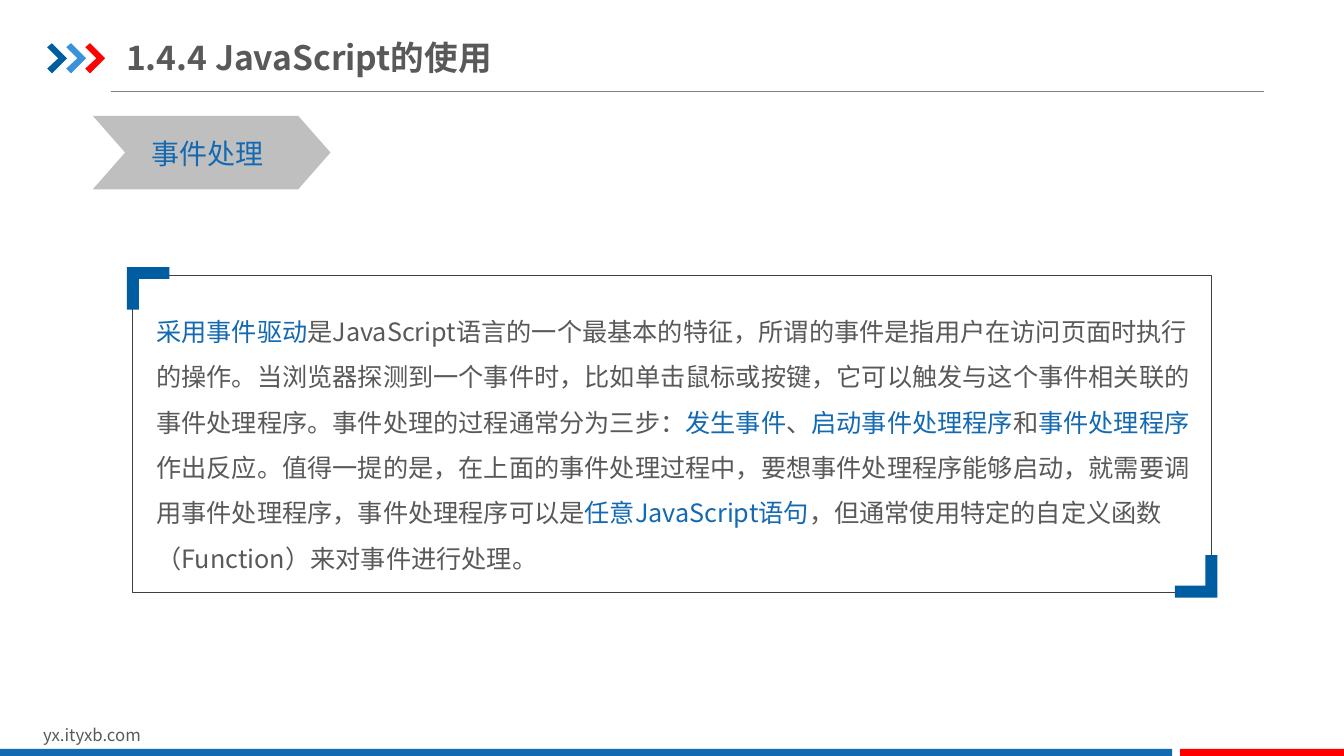
from lxml.etree import SubElement
from pptx import Presentation
from pptx.dml.color import RGBColor
from pptx.enum.shapes import MSO_CONNECTOR, MSO_SHAPE
from pptx.enum.text import MSO_ANCHOR
from pptx.oxml.ns import qn
from pptx.util import Cm, Pt

FONT = "Noto Sans CJK SC"
COLORS = {
    "navy": "005DA2", "sky": "3992DB", "red": "FF0000", "blue": "1369B2",
    "text": "595959", "banner": "BFBFBF", "rule": "808080", "frame": "404040",
}
TITLE = [("1.4.4 JavaScript的使用", "text")]
TOPIC = [("事件处理", "blue")]
SITE = [("yx.ityxb.com", "text")]
BODY = [
    ("采用事件驱动", "blue"),
    ("是JavaScript语言的一个最基本的特征，所谓的事件是指用户在访问页面时执行的操作。"
     "当浏览器探测到一个事件时，比如单击鼠标或按键，它可以触发与这个事件相关联的事件处理程序。"
     "事件处理的过程通常分为三步：", "text"),
    ("发生事件", "blue"),
    ("、", "text"),
    ("启动事件处理程序", "blue"),
    ("和", "text"),
    ("事件处理程序", "blue"),
    ("作出反应。值得一提的是，在上面的事件处理过程中，要想事件处理程序能够启动，"
     "就需要调用事件处理程序，事件处理程序可以是", "text"),
    ("任意JavaScript语句", "blue"),
    ("，但通常使用特定的自定义函数（Function）来对事件进行处理。", "text"),
]
ARROW_COLORS = ["navy", "sky", "red"]
ARROW_OUTLINE = [(0, 0.1), (0.12, 0), (0.5, 0.38), (0.12, 0.76), (0, 0.64), (0.28, 0.38)]
ARROW_LEFT, ARROW_TOP, ARROW_PITCH = 1.19, 1.09, 0.48
CORNER_SIZE, CORNER_WIDTH = 1.07, 0.3
CORNER_OUTLINE = [
    (0, 0), (CORNER_SIZE, 0), (CORNER_SIZE, CORNER_WIDTH),
    (CORNER_WIDTH, CORNER_WIDTH), (CORNER_WIDTH, CORNER_SIZE), (0, CORNER_SIZE),
]
CORNERS = [(3.2, 6.73, 1), (30.68, 15.06, -1)]
FOOTER_BARS = [(0, 29.54, "blue"), (29.74, 4.13, "red")]


def rgb(name):
    return RGBColor.from_string(COLORS[name])


def paint(shape, color):
    shape.shadow.inherit = False
    shape.fill.solid()
    shape.fill.fore_color.rgb = rgb(color)
    shape.line.fill.background()


def add_preset(slide, kind, box, color):
    shape = slide.shapes.add_shape(kind, *map(Cm, box))
    paint(shape, color)
    return shape


def add_outline(slide, left, top, points, color, direction=1):
    placed = [(Cm(left + direction * x), Cm(top + direction * y)) for x, y in points]
    builder = slide.shapes.build_freeform(*placed[0])
    builder.add_line_segments(placed[1:], close=True)
    paint(builder.convert_to_shape(), color)


def add_text(slide, box, pieces, size, insets=(0.25, 0.13), wrap=True, bold=False):
    frame = slide.shapes.add_textbox(*map(Cm, box)).text_frame
    frame.word_wrap = wrap
    frame.margin_left = frame.margin_right = Cm(insets[0])
    frame.margin_top = frame.margin_bottom = Cm(insets[1])
    paragraph = frame.paragraphs[0]
    paragraph.font.size = Pt(size)
    paragraph.font.bold = bold
    paragraph.font.name = FONT
    defaults = paragraph._p.pPr.find(qn("a:defRPr"))
    SubElement(defaults, qn("a:ea")).set("typeface", FONT)
    if len(pieces) == 1:
        paragraph.font.color.rgb = rgb(pieces[0][1])
    for words, color in pieces:
        run = paragraph.add_run()
        run.text = words
        if len(pieces) > 1:
            run.font.color.rgb = rgb(color)
    return frame


def main():
    presentation = Presentation()
    presentation.slide_width, presentation.slide_height = Cm(33.87), Cm(19.05)
    slide = presentation.slides.add_slide(presentation.slide_layouts[6])

    rule = slide.shapes.add_connector(
        MSO_CONNECTOR.STRAIGHT, Cm(2.79), Cm(2.31), Cm(31.85), Cm(2.31))
    rule.line.color.rgb = rgb("rule")
    rule.line.width = Pt(0.75)
    SubElement(rule._element.spPr, qn("a:effectLst"))

    for index, color in enumerate(ARROW_COLORS):
        add_outline(slide, ARROW_LEFT + index * ARROW_PITCH, ARROW_TOP, ARROW_OUTLINE, color)

    add_text(slide, (0.84, 18.14, 8.08, 0.76), SITE, 12)
    for left, width, color in FOOTER_BARS:
        add_preset(slide, MSO_SHAPE.RECTANGLE, (left, 18.87, width, 0.23), color)

    title = add_text(slide, (3.18, 0.74, 10.82, 1.4), TITLE, 24, (0, 0.18), bold=True)
    title.vertical_anchor = MSO_ANCHOR.MIDDLE

    banner = add_preset(slide, MSO_SHAPE.CHEVRON, (2.34, 2.92, 5.99, 1.85), "banner")
    banner.adjustments[0] = 0.44
    add_text(slide, (3.56, 3.3, 3.35, 1.12), TOPIC, 20, wrap=False)

    body = add_text(slide, (3.94, 7.59, 26.42, 6.78), BODY, 18, (0, 0))
    body.paragraphs[0].line_spacing = 1.5

    border = add_preset(slide, MSO_SHAPE.ROUNDED_RECTANGLE, (3.33, 6.93, 27.2, 8), "frame")
    border.adjustments[0] = 0
    border.fill.background()
    border.line.color.rgb = rgb("frame")
    border.line.width = Pt(0.25)
    for left, top, direction in CORNERS:
        add_outline(slide, left, top, CORNER_OUTLINE, "navy", direction)

    presentation.save("out.pptx")


if __name__ == "__main__":
    main()
